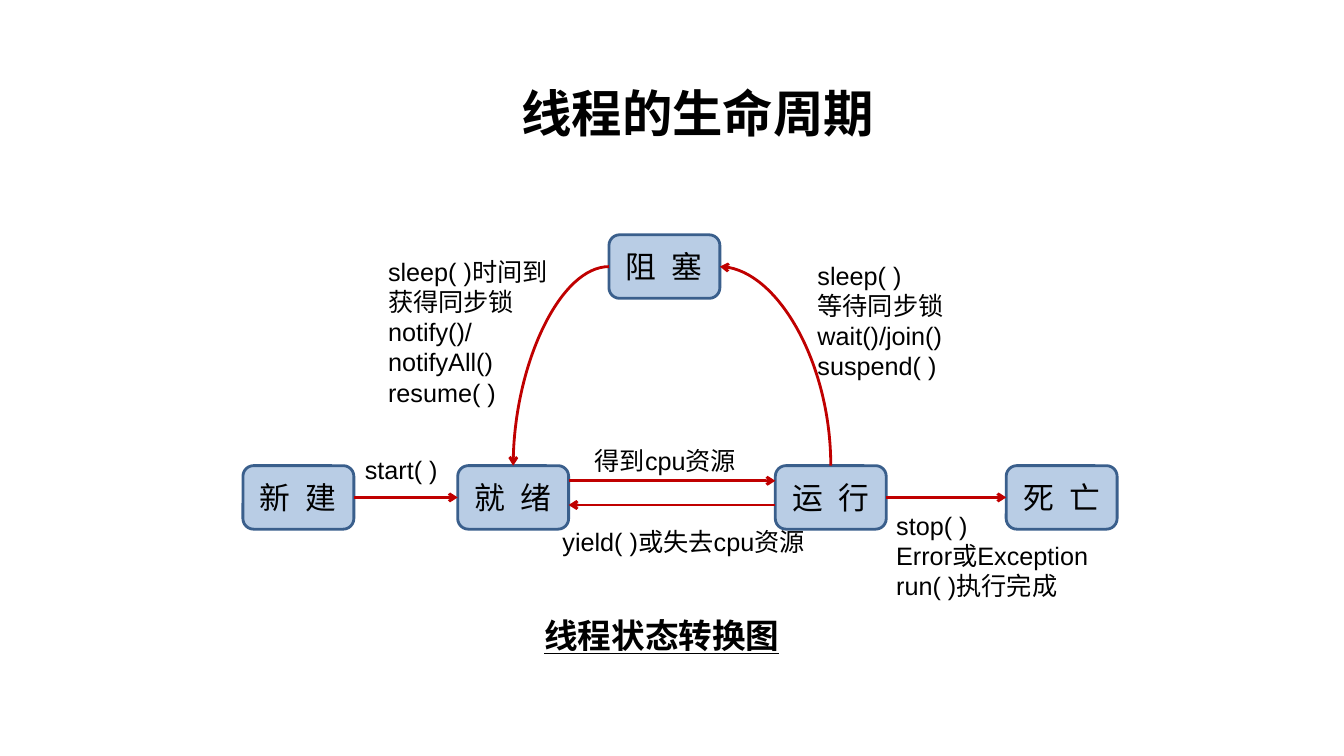
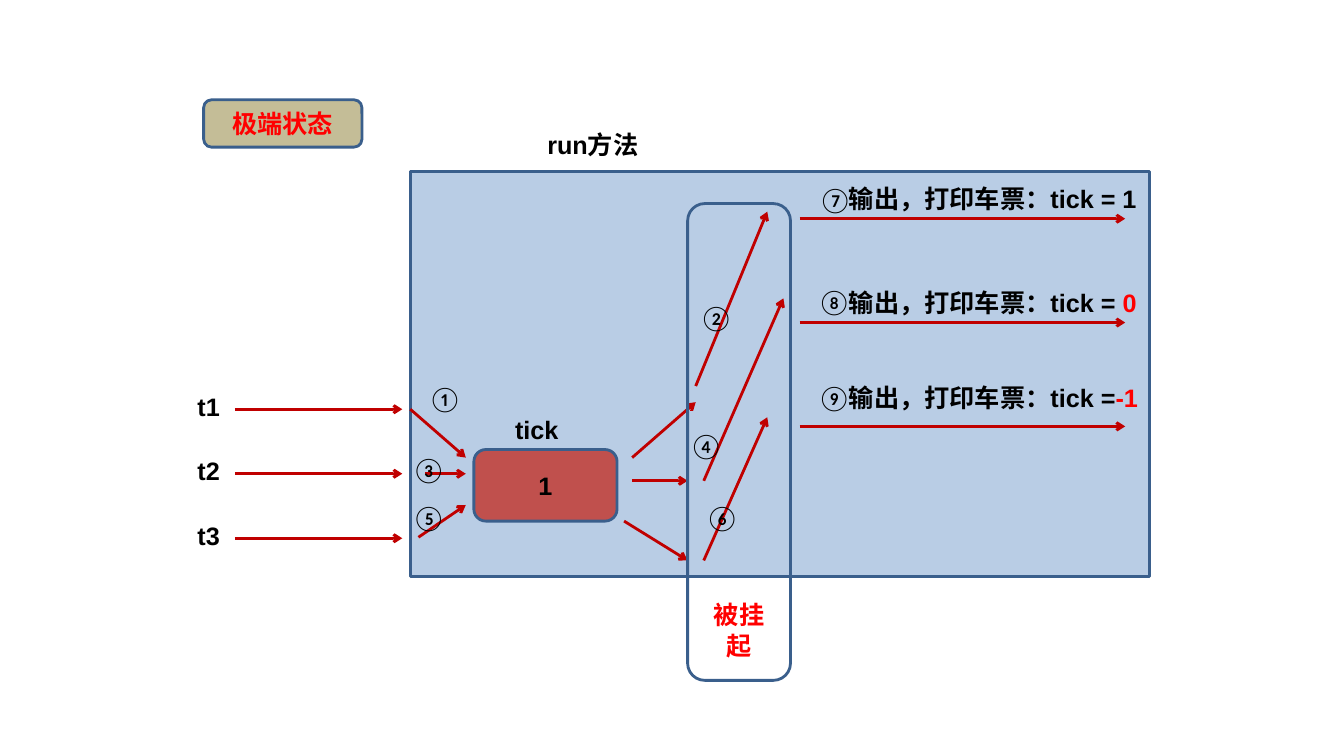
from lxml import etree
from pptx import Presentation
from pptx.dml.color import RGBColor
from pptx.enum.shapes import MSO_CONNECTOR, MSO_SHAPE
from pptx.enum.text import MSO_ANCHOR, PP_ALIGN
from pptx.oxml.ns import qn
from pptx.util import Inches, Pt

ROUND, RECT = MSO_SHAPE.ROUNDED_RECTANGLE, MSO_SHAPE.RECTANGLE
STRAIGHT, CURVE = MSO_CONNECTOR.STRAIGHT, MSO_CONNECTOR.CURVE
TOP, MIDDLE, BOTTOM = MSO_ANCHOR.TOP, MSO_ANCHOR.MIDDLE, MSO_ANCHOR.BOTTOM
LEFT, CENTER = PP_ALIGN.LEFT, PP_ALIGN.CENTER
SITE_TOP, SITE_LEFT, SITE_RIGHT = 0, 1, 3

BLACK, RED, ARROW, OUTLINE = "000000", "FF0000", "C00000", "3A5F8C"
BLUE, TAN, BRICK = "B9CDE5", "C4BD97", "C0504D"
CJK = "Noto Sans CJK SC"
color = RGBColor.from_string


def add_text(s, text, x, y, w, h, shape=None, fill=None, size=18, font="Arial",
             c=BLACK, bold=False, underline=False, align=LEFT, anchor=TOP,
             spacing=0, bottom=0.05, accent=""):
    """Add a text box, or an outlined shape with text; accent is a red ending."""
    box = [Inches(v) for v in (x, y, w, h)]
    if shape is None:
        sp = s.shapes.add_textbox(*box)
    else:
        sp = s.shapes.add_shape(shape, *box)
        sp.shadow.inherit = False
        sp.line.color.rgb = color(OUTLINE)
        sp.line.width = Pt(2)
        if fill:
            sp.fill.solid()
            sp.fill.fore_color.rgb = color(fill)
        else:
            sp.fill.background()
    tf = sp.text_frame
    tf.word_wrap = True
    tf.vertical_anchor = anchor
    tf.margin_bottom = Inches(bottom)
    for i, line in enumerate(text.split("\n")):
        p = tf.paragraphs[0] if i == 0 else tf.add_paragraph()
        p.alignment = align
        for part, part_color in ((line, c), (accent, RED)):
            if not part:
                continue
            r = p.add_run()
            r.text = part
            r.font.size = Pt(size)
            r.font.name = font
            r.font.bold = bold
            r.font.underline = underline
            r.font.color.rgb = color(part_color)
            rPr = r.font._element
            rPr.find(qn("a:latin")).addnext(
                rPr.makeelement(qn("a:ea"), {"typeface": CJK}))
            if spacing:
                rPr.set("spc", str(spacing * 100))
    return sp


def add_arrow(s, x1, y1, x2, y2, kind=STRAIGHT, begin=None, end=None, tip="tailEnd"):
    """Add a red arrow; begin and end are (shape, site) pairs to join."""
    cn = s.shapes.add_connector(kind, *[Inches(v) for v in (x1, y1, x2, y2)])
    if begin:
        cn.begin_connect(*begin)
    if end:
        cn.end_connect(*end)
    cn.line.color.rgb = color(ARROW)
    cn.line.width = Pt(2)
    etree.SubElement(cn.line._get_or_add_ln(), qn("a:" + tip), type="arrow")
    spPr = cn._element.spPr
    etree.SubElement(spPr, qn("a:effectLst"))
    if kind == CURVE:
        spPr.find(qn("a:prstGeom")).set("prst", "curvedConnector2")


prs = Presentation()
prs.slide_width, prs.slide_height = Inches(13.33), Inches(7.5)
blank = prs.slide_layouts[6]

# Slide 1: thread life cycle
s = prs.slides.add_slide(blank)
add_text(s, "线程的生命周期", 3.91, 0.76, 6.02, 0.71, size=36,
         font="Times New Roman", bold=True, align=CENTER, anchor=MIDDLE)

# States
states = {}
for name, x, y in [("阻 塞", 6.04, 2.33), ("新 建", 2.41, 4.62), ("就 绪", 4.54, 4.62),
                   ("运 行", 7.69, 4.62), ("死 亡", 9.98, 4.62)]:
    states[name] = add_text(s, name, x, y, 1.1, 0.63, shape=ROUND, fill=BLUE,
                            size=22, align=CENTER, anchor=MIDDLE, spacing=3)
blocked, new, ready, running, dead = states.values()

# Transitions
add_arrow(s, 3.51, 4.93, 4.54, 4.93, begin=(new, SITE_RIGHT), end=(ready, SITE_LEFT))
add_arrow(s, 8.79, 4.93, 9.98, 4.93, begin=(running, SITE_RIGHT), end=(dead, SITE_LEFT))
add_arrow(s, 5.64, 4.77, 7.69, 4.77)
add_arrow(s, 7.69, 5.01, 5.64, 5.01)
add_arrow(s, 6.04, 2.65, 5.09, 4.62, CURVE, (blocked, SITE_LEFT), (ready, SITE_TOP))
add_arrow(s, 7.14, 2.65, 8.24, 4.62, CURVE, (blocked, SITE_RIGHT),
          (running, SITE_TOP), tip="headEnd")

# Transition labels
for text, x, y, w, h in [
    ("start( )", 3.52, 4.46, 1.02, 0.4),
    ("得到cpu资源", 5.8, 4.37, 1.81, 0.4),
    ("yield( )或失去cpu资源", 5.48, 5.17, 2.68, 0.4),
    ("stop( )\nError或Exception\nrun( )执行完成", 8.79, 5.01, 2.72, 1.01),
    ("sleep( )\n等待同步锁\nwait()/join()\nsuspend( )", 8.01, 2.53, 2.13, 1.31),
    ("sleep( )时间到\n获得同步锁\nnotify()/notifyAll()\nresume( )", 3.75, 2.49, 2.05, 1.31),
]:
    add_text(s, text, x, y, w, h)
add_text(s, "线程状态转换图", 5.3, 6.05, 2.6, 0.5, size=24, font=CJK,
         bold=True, underline=True)

# Slide 2: three threads sharing one ticket
s = prs.slides.add_slide(blank)
add_text(s, "极端状态", 2.02, 0.99, 1.57, 0.47, shape=ROUND, fill=TAN, c=RED,
         bold=True, align=CENTER, anchor=MIDDLE)
add_text(s, "", 4.07, 1.7, 7.33, 4.02, shape=RECT, fill=BLUE)
add_text(s, "1", 4.7, 4.46, 1.42, 0.71, shape=ROUND, fill=BRICK, bold=True,
         align=CENTER, anchor=MIDDLE)
add_text(s, "tick", 5.01, 4.06, 1.42, 0.4, bold=True)
add_text(s, "run方法", 5.33, 1.23, 1.34, 0.4, bold=True)

# Threads
for i in range(3):
    y = 4.06 + 0.64 * i
    add_text(s, f"t{i + 1}", 1.86, y - 0.23, 1.02, 0.4, bold=True)
    add_arrow(s, 2.33, y, 3.99, y)

# Arrows into the ticket, out of it, and through the suspended zone
for ends in [
    (4.07, 4.06, 4.62, 4.54), (4.22, 4.7, 4.62, 4.7), (4.15, 5.33, 4.62, 5.01),
    (6.27, 4.54, 6.9, 3.99), (6.27, 4.77, 6.82, 4.77), (6.19, 5.17, 6.82, 5.56),
    (6.9, 3.83, 7.61, 2.1), (6.98, 4.77, 7.77, 2.96), (6.98, 5.56, 7.61, 4.14),
]:
    add_arrow(s, *ends)

# Step numbers
for number, x, y in [
    ("①", 4.15, 3.75), ("②", 6.84, 2.95), ("③", 3.99, 4.46),
    ("④", 6.74, 4.22), ("⑤", 3.99, 4.93), ("⑥", 6.9, 4.93),
    ("⑦", 8.02, 1.78), ("⑧", 8.01, 2.79), ("⑨", 8.01, 3.74),
]:
    add_text(s, number, x, y, 0.45, 0.4, font="Calibri")

# Suspended zone
add_text(s, "被挂起", 6.82, 2.02, 1.02, 4.73, shape=ROUND, c=RED, bold=True,
         align=CENTER, anchor=BOTTOM, bottom=0.15)

# Outputs
for i, (text, value, y) in enumerate([
    ("输出，打印车票：tick = 1", "", 1.77),
    ("输出，打印车票：tick = ", "0", 2.8),
    ("输出，打印车票：tick =", "-1", 3.74),
]):
    line_y = 2.17 + 1.03 * i
    add_arrow(s, 7.93, line_y, 11.16, line_y)
    add_text(s, text, 8.32, y, 3.35, 0.4, bold=True, accent=value)

prs.save("out.pptx")
